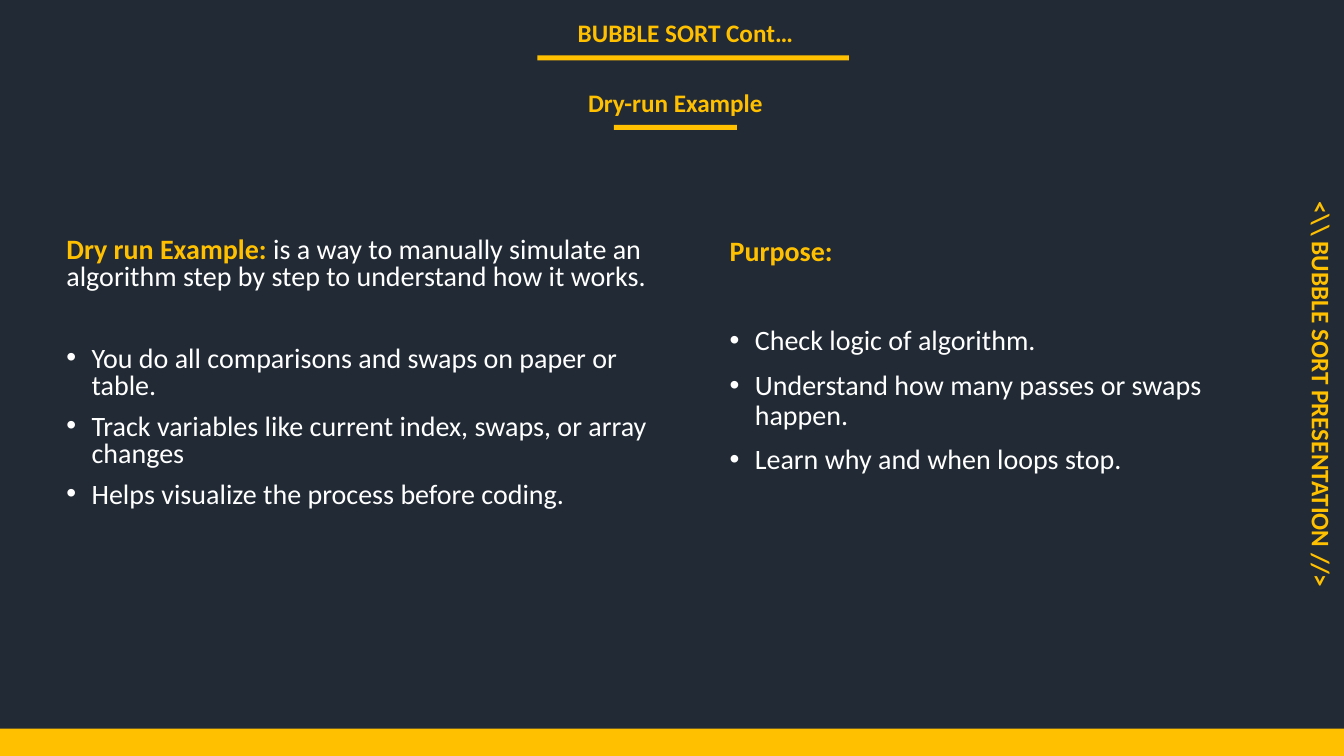
from lxml.etree import SubElement
from pptx import Presentation
from pptx.dml.color import RGBColor
from pptx.enum.shapes import MSO_SHAPE
from pptx.enum.text import MSO_ANCHOR, MSO_AUTO_SIZE, PP_ALIGN
from pptx.oxml.ns import qn
from pptx.util import Inches, Pt

# Content; every frame is left, top, width, height in percent of the slide
TITLE = ("BUBBLE SORT Cont…", (23.4, 1.2, 55.2, 6.13))
SUBTITLE = ("Dry-run Example", (41.33, 9.73, 17.85, 7.6))
SIDE_LABEL = (r"<\\ BUBBLE SORT PRESENTATION //>", (72.45, 49.33, 51.83, 5.73))
BARS = [
    (0, 96.4, 100, 3.6),           # footer
    (39.98, 7.33, 23.18, 0.67),    # under the title
    (45.68, 16.53, 9.15, 0.67),    # under the subtitle
]
COLUMNS = [
    {
        "frame": (4.2, 30.8, 47.4, 46.8),
        "line_spacing": 0.8,
        "lead": "Dry run Example: ",
        "text": "is a way to manually simulate an algorithm step by step "
                "to understand how it works.",
        "bullets": [
            "You do all comparisons and swaps on paper or table.",
            "Track variables like current index, swaps, or array changes",
            "Helps visualize the process before coding.",
        ],
    },
    {
        "frame": (53.55, 30.8, 43.2, 48.4),
        "line_spacing": 0.9,
        "lead": "Purpose:",
        "text": "",
        "bullets": [
            "Check logic of algorithm.",
            "Understand how many passes or swaps happen.",
            "Learn why and when loops stop.",
        ],
    },
]

# Style
NAVY = RGBColor(0x22, 0x2A, 0x35)
AMBER = RGBColor(0xFF, 0xC0, 0x00)
WHITE = RGBColor(0xFF, 0xFF, 0xFF)
FONT = "Calibri"
HEADING_SIZE, BODY_SIZE, PARAGRAPH_GAP = 18, 20, 10
LINE_HEIGHT = 1.22  # of the font size
BULLET_INDENT = Inches(0.25)

presentation = Presentation()
presentation.slide_width = Inches(13.33)
presentation.slide_height = Inches(7.5)
slide = presentation.slides.add_slide(presentation.slide_layouts[5])
slide.background.fill.solid()
slide.background.fill.fore_color.rgb = NAVY


def place(frame):
    sides = (presentation.slide_width, presentation.slide_height) * 2
    return [int(side * share / 100) for side, share in zip(sides, frame)]


def style(font, size, color, bold=False):
    font.name = FONT
    font.size = Pt(size)
    font.bold = bold
    font.color.rgb = color


def add_text_box(frame):
    box = slide.shapes.add_textbox(*place(frame))
    box.text_frame.word_wrap = True
    return box


def write_heading(shape, text):
    text_frame = shape.text_frame
    text_frame.text = text
    text_frame.auto_size = MSO_AUTO_SIZE.NONE
    text_frame.vertical_anchor = MSO_ANCHOR.MIDDLE
    paragraph = text_frame.paragraphs[0]
    paragraph.alignment = PP_ALIGN.CENTER
    style(paragraph.font, HEADING_SIZE, AMBER, bold=True)


def add_bullet(paragraph):
    properties = paragraph._p.get_or_add_pPr()
    properties.set("marL", str(BULLET_INDENT))
    properties.set("indent", str(-BULLET_INDENT))
    SubElement(properties, qn("a:buFont")).set("typeface", "Arial")
    SubElement(properties, qn("a:buChar")).set("char", "•")


# Title, subtitle and side label
title = slide.shapes.title
title.left, title.top, title.width, title.height = place(TITLE[1])
write_heading(title, TITLE[0])
write_heading(add_text_box(SUBTITLE[1]), SUBTITLE[0])
side_label = add_text_box(SIDE_LABEL[1])
side_label.rotation = 90
write_heading(side_label, SIDE_LABEL[0])

# Amber bars
for frame in BARS:
    bar = slide.shapes.add_shape(MSO_SHAPE.RECTANGLE, *place(frame))
    bar.shadow.inherit = False
    bar.fill.solid()
    bar.fill.fore_color.rgb = AMBER
    bar.line.fill.background()

# Two columns: an introduction, a gap of one line, then the bullets
for column in COLUMNS:
    text_frame = add_text_box(column["frame"]).text_frame
    spacing = column["line_spacing"]
    introduction = text_frame.paragraphs[0]
    introduction.line_spacing = spacing
    lead = introduction.add_run()
    lead.text = column["lead"]
    style(lead.font, BODY_SIZE, AMBER, bold=True)
    if column["text"]:
        body = introduction.add_run()
        body.text = column["text"]
        style(body.font, BODY_SIZE, WHITE)

    gap = 2 * PARAGRAPH_GAP + BODY_SIZE * LINE_HEIGHT * spacing
    for text in column["bullets"]:
        paragraph = text_frame.add_paragraph()
        paragraph.text = text
        add_bullet(paragraph)
        paragraph.line_spacing = spacing
        paragraph.space_before = Pt(gap)
        style(paragraph.font, BODY_SIZE, WHITE)
        gap = PARAGRAPH_GAP

presentation.save("out.pptx")
